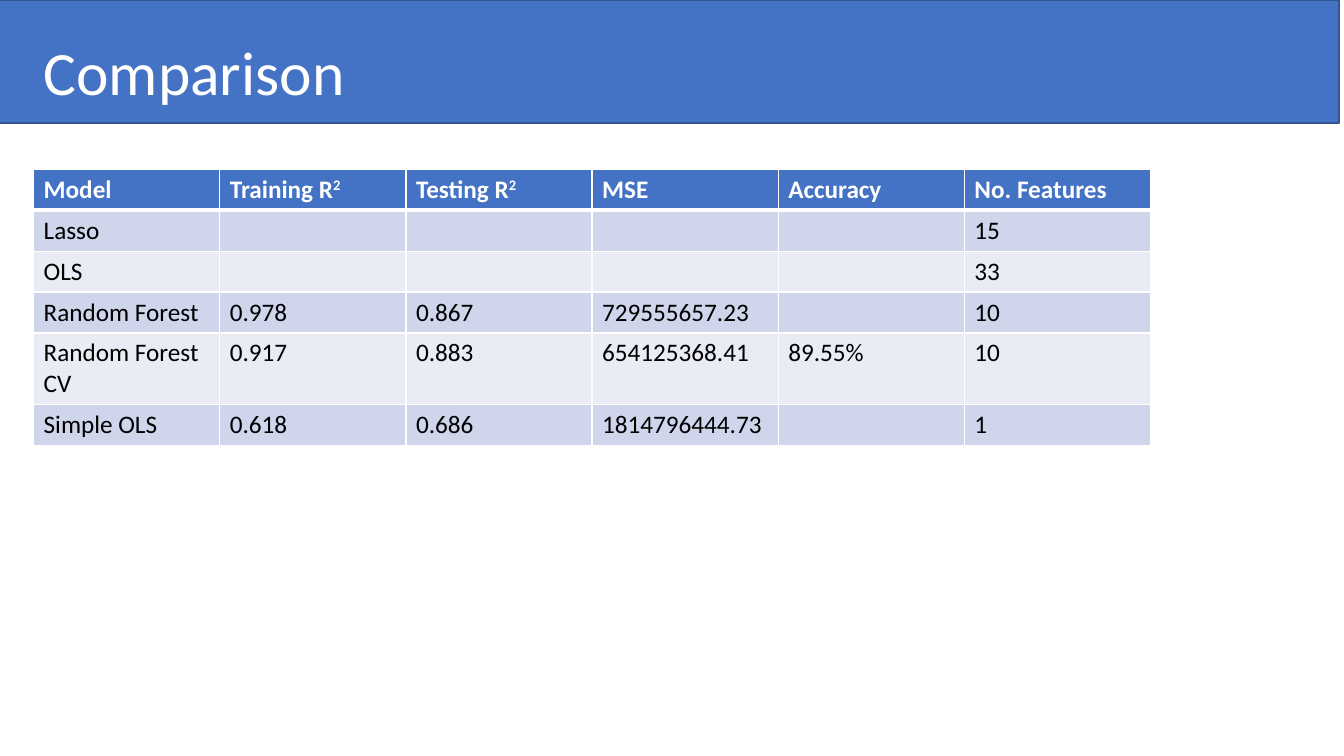
from lxml import etree
from pptx import Presentation
from pptx.dml.color import RGBColor
from pptx.enum.shapes import MSO_SHAPE
from pptx.enum.text import MSO_ANCHOR, MSO_AUTO_SIZE, PP_ALIGN
from pptx.oxml.ns import qn
from pptx.util import Pt

RECTANGLE = MSO_SHAPE.RECTANGLE
MIDDLE = MSO_ANCHOR.MIDDLE
NO_AUTOFIT = MSO_AUTO_SIZE.NONE
LEFT = PP_ALIGN.LEFT

BLUE = RGBColor(0x44, 0x72, 0xC4)
DARK_BLUE = RGBColor(0x32, 0x54, 0x91)
BAND_DARK = RGBColor(0xCF, 0xD5, 0xEA)
BAND_LIGHT = RGBColor(0xE9, 0xEB, 0xF5)
WHITE = RGBColor(0xFF, 0xFF, 0xFF)
BLACK = RGBColor(0x00, 0x00, 0x00)
FONT = "Calibri"
TITLE_ONLY = 5

SUPERSCRIPT = "²"
RESULTS = [
    ["Model", "Training R²", "Testing R²", "MSE", "Accuracy", "No. Features"],
    ["Lasso", "", "", "", "", "15"],
    ["OLS", "", "", "", "", "33"],
    ["Random Forest", "0.978", "0.867", "729555657.23", "", "10"],
    ["Random Forest CV", "0.917", "0.883", "654125368.41", "89.55%", "10"],
    ["Simple OLS", "0.618", "0.686", "1814796444.73", "", "1"],
]
ROW_HEIGHTS = [29.2, 29.2, 29.2, 29.2, 46.8, 29.2]


def style_run(run, size, color, bold=False):
    run.font.name = FONT
    run.font.size = Pt(size)
    run.font.color.rgb = color
    run.font.bold = bold


def add_border(cell, side, width):
    properties = cell._tc.get_or_add_tcPr()
    line = etree.SubElement(properties, qn(f"a:ln{side}"), w=str(Pt(width)))
    fill = etree.SubElement(line, qn("a:solidFill"))
    etree.SubElement(fill, qn("a:srgbClr"), val=str(WHITE))


def add_header(slide, left, top, width, height):
    band = slide.shapes.add_shape(RECTANGLE, Pt(left), Pt(top), Pt(width), Pt(height))
    band.shadow.inherit = False
    band.fill.solid()
    band.fill.fore_color.rgb = BLUE
    band.line.color.rgb = DARK_BLUE
    band.line.width = Pt(1)

    title = slide.shapes.title
    title.element.addprevious(band.element)
    title.left, title.top = Pt(left + 27.5), Pt(top + 1.5)
    title.width, title.height = Pt(828), Pt(104.4)
    frame = title.text_frame
    frame.text = "Comparison"
    frame.auto_size = NO_AUTOFIT
    frame.word_wrap = True
    frame.vertical_anchor = MIDDLE
    heading = frame.paragraphs[0]
    heading.alignment = LEFT
    heading.line_spacing = 0.9
    style_run(heading.runs[0], 44, WHITE)


def fill_cell(cell, text, row):
    is_header = row == 0
    widths = {"L": 1, "R": 1, "T": 3 if row == 1 else 1, "B": 3 if is_header else 1}
    for side, width in widths.items():
        add_border(cell, side, width)
    cell.fill.solid()
    cell.fill.fore_color.rgb = BLUE if is_header else BAND_DARK if row % 2 else BAND_LIGHT

    paragraph = cell.text_frame.paragraphs[0]
    paragraph.font.size = Pt(18)
    paragraph.text = text.removesuffix(SUPERSCRIPT)
    if text.endswith(SUPERSCRIPT):
        exponent = paragraph.add_run()
        exponent.text = "2"
        exponent._r.get_or_add_rPr().set("baseline", "30000")
    for run in paragraph.runs:
        style_run(run, 18, WHITE if is_header else BLACK, is_header)


def add_results(slide, left, top, width, height):
    table = slide.shapes.add_table(
        len(RESULTS), len(RESULTS[0]), Pt(left), Pt(top), Pt(width), Pt(height)
    ).table
    for column in table.columns:
        column.width = Pt(width / len(RESULTS[0]))
    for row, (values, row_height) in enumerate(zip(RESULTS, ROW_HEIGHTS)):
        table.rows[row].height = Pt(row_height)
        for column, text in enumerate(values):
            fill_cell(table.cell(row, column), text, row)


presentation = Presentation()
presentation.slide_width = Pt(960)
presentation.slide_height = Pt(540)
comparison = presentation.slides.add_slide(presentation.slide_layouts[TITLE_ONLY])
add_header(comparison, -3.5, 0, 960, 88)
add_results(comparison, 24, 121, 798, sum(ROW_HEIGHTS))
presentation.save("out.pptx")
